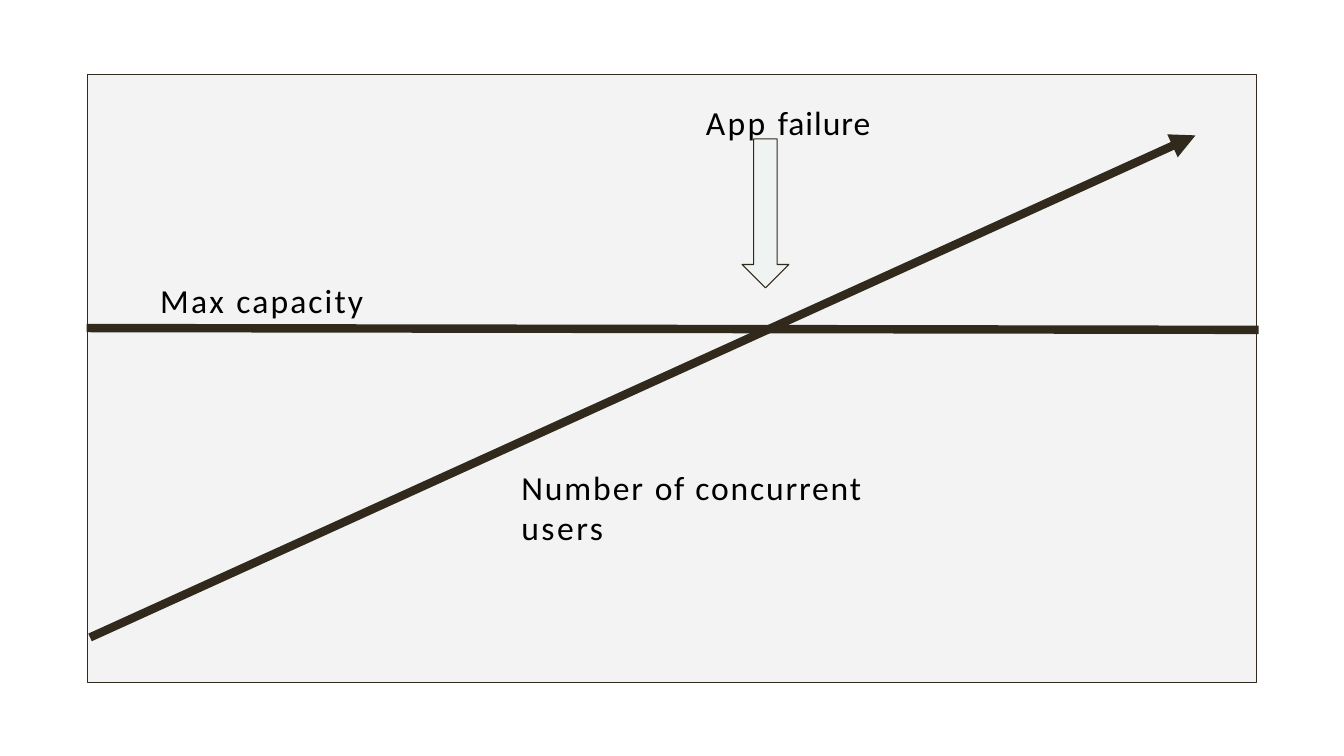
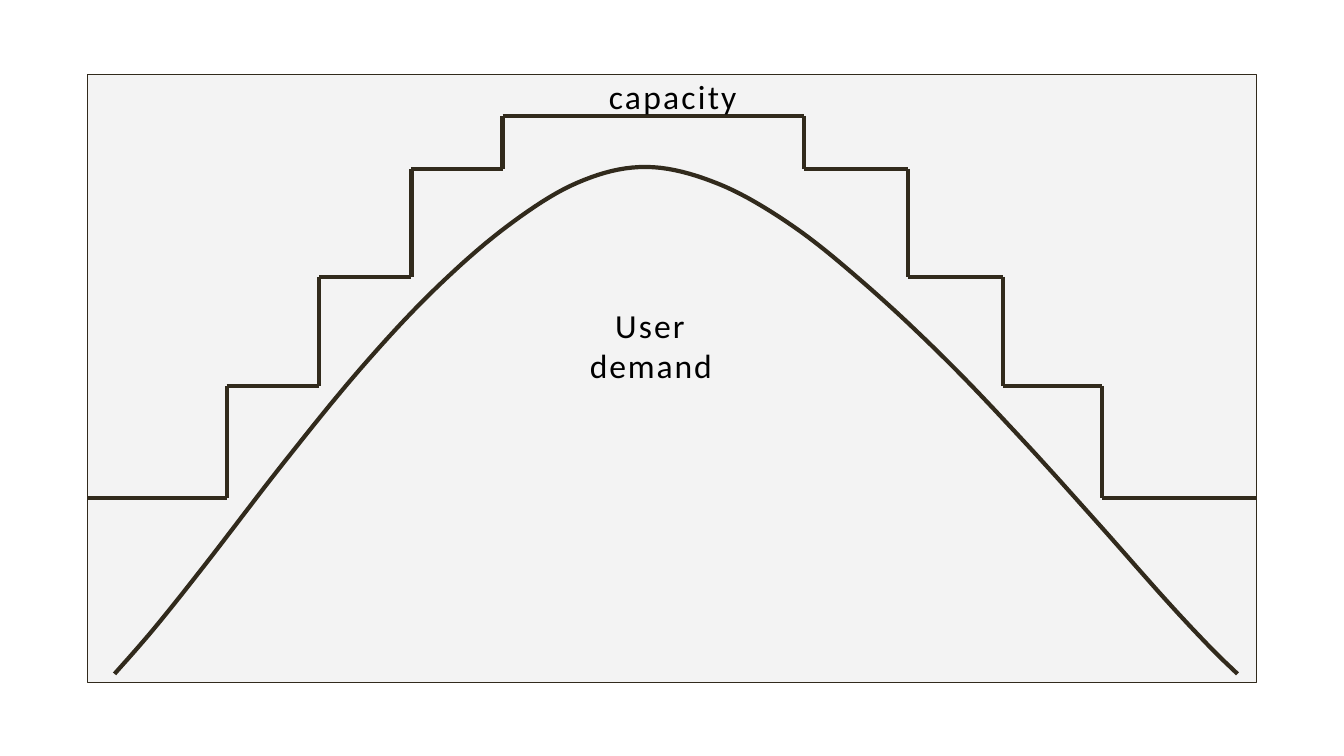
import pptx
import pptx.dml.color
import pptx.enum.dml
import pptx.enum.shapes
import pptx.enum.text
import pptx.oxml.ns
import pptx.util
from lxml import etree

THEME = {
    "ink": "312A1C", "panel": "F3F3F3", "arrow": "EFF3F1", "text": "000000",
    "font": "Calibri", "size": 24, "outline": 0.75, "curve": 3, "trend": 6,
}
SLIDE_SIZE = (13.33, 7.5)
PANEL = (0.87, 0.74, 11.59, 6.03)  # left, top, width, height in inches

# Content: every position is a percentage of the panel
# Labels: left, top, width, height, alignment, runs with letter spacing in points
FIXED_CAPACITY = {
    "lines": [((0.2, 92.6), (94.8, 10), True), ((-0.1, 41.7), (100.2, 42), False)],
    "arrow": (56, 10.6, 4, 24.5),
    "labels": [
        (6.2, 33.7, 18, 6.6, "LEFT", [("Max ", 1.7), ("capacity", 1.5)]),
        (37.1, 64.5, 29.8, 13.4, "LEFT",
         [("Number ", 1.4), ("of ", 1.2), ("concurrent ", 1.3), ("users", 1.8)]),
        (52.9, 4.5, 17, 6.6, "LEFT", [("App ", 1.7), ("failure", 0.7)]),
    ],
}
ELASTIC_CAPACITY = {
    "step_edges": [0, 11.9, 19.8, 27.7, 35.5, 61.3, 70.2, 78.3, 86.8, 100],
    "step_levels": [69.7, 51.2, 33.3, 15.5, 6.8],  # rising half, then mirrored
    "demand_knots": [
        (2.3, 98.6), (5.7, 91.1), (10.1, 80.5), (16.8, 63.8), (23.3, 48.5),
        (29.5, 35.7), (35.8, 25.1), (41.9, 17.8), (47.8, 15.2), (54, 18),
        (60.4, 25), (66.9, 35.1), (73.6, 47.2), (80.1, 60.3), (86.4, 73.7),
        (92.3, 86.5), (96.1, 94.3), (98.4, 98.6),
    ],
    "labels": [
        (42.7, 37.9, 11, 13.4, "CENTER", [("User ", 1.5), ("demand", 1.4)]),
        (44.6, 0.2, 11.6, 6.6, "LEFT", [("capacity", 1.6)]),
    ],
}


def colour(name):
    return pptx.dml.color.RGBColor.from_string(THEME[name])


def point(x, y):
    left, top, width, height = PANEL
    return (pptx.util.Inches(left + width * x / 100),
            pptx.util.Inches(top + height * y / 100))


def box(x, y, width, height):
    left, top = point(x, y)
    right, bottom = point(x + width, y + height)
    return left, top, right - left, bottom - top


def set_line(shape, weight):
    shape.line.color.rgb = colour("ink")
    shape.line.width = pptx.util.Pt(THEME[weight])


def add_block(slide, kind, position, fill):
    shape = slide.shapes.add_shape(kind, *box(*position))
    shape.shadow.inherit = False
    shape.fill.solid()
    shape.fill.fore_color.rgb = colour(fill)
    set_line(shape, "outline")


def add_line(slide, start, end, weight, arrowhead=False):
    connector = slide.shapes.add_connector(
        pptx.enum.shapes.MSO_CONNECTOR.STRAIGHT, *point(*start), *point(*end))
    set_line(connector, weight)
    if arrowhead:
        etree.SubElement(connector.line._get_or_add_ln(),
                         pptx.oxml.ns.qn("a:tailEnd"), type="triangle")
    etree.SubElement(connector._element.spPr, pptx.oxml.ns.qn("a:effectLst"))


def add_curve(slide, points):
    start, *others = [point(*position) for position in points]
    builder = slide.shapes.build_freeform(*start)
    builder.add_line_segments(others, close=False)
    shape = builder.convert_to_shape()
    shape.shadow.inherit = False
    shape.fill.background()
    set_line(shape, "curve")


def add_label(slide, left, top, width, height, alignment, runs):
    frame = slide.shapes.add_textbox(*box(left, top, width, height)).text_frame
    frame_format = {"word_wrap": True, "margin_left": 0, "margin_right": 0,
                    "margin_top": 0, "margin_bottom": 0}
    for name, value in frame_format.items():
        setattr(frame, name, value)
    paragraph = frame.paragraphs[0]
    paragraph.alignment = pptx.enum.text.PP_ALIGN[alignment]
    font_format = {"name": THEME["font"], "size": pptx.util.Pt(THEME["size"])}
    for text, spacing in runs:
        run = paragraph.add_run()
        run.text = text
        for name, value in font_format.items():
            setattr(run.font, name, value)
        run.font.color.rgb = colour("text")
        run._r.get_or_add_rPr().set("spc", str(round(spacing * 100)))


def staircase(edges, rising_levels):
    """Corner points of the treads, from left to right."""
    levels = rising_levels + rising_levels[-2::-1]
    return [(edge, level) for left, right, level in zip(edges, edges[1:], levels)
            for edge in (left, right)]


def smooth_curve(knots, steps=10):
    """Catmull-Rom spline through the knots."""
    padded = [knots[0], *knots, knots[-1]]
    points = []
    for segment in zip(padded, padded[1:], padded[2:], padded[3:]):
        for step in range(steps):
            t = step / steps
            points.append(tuple(
                (2 * b + (c - a) * t + (2 * a - 5 * b + 4 * c - d) * t ** 2
                 + (3 * b - a - 3 * c + d) * t ** 3) / 2
                for a, b, c, d in zip(*segment)))
    return points + [knots[-1]]


def start_slide(presentation):
    slide = presentation.slides.add_slide(presentation.slide_layouts[6])
    add_block(slide, pptx.enum.shapes.MSO_SHAPE.RECTANGLE, (0, 0, 100, 100), "panel")
    return slide


def main():
    presentation = pptx.Presentation()
    presentation.slide_width, presentation.slide_height = map(
        pptx.util.Inches, SLIDE_SIZE)

    # Slide 1: demand outgrows a fixed capacity
    slide = start_slide(presentation)
    for start, end, arrowhead in FIXED_CAPACITY["lines"]:
        add_line(slide, start, end, "trend", arrowhead)
    add_block(slide, pptx.enum.shapes.MSO_SHAPE.DOWN_ARROW,
              FIXED_CAPACITY["arrow"], "arrow")
    for label in FIXED_CAPACITY["labels"]:
        add_label(slide, *label)

    # Slide 2: capacity steps follow demand
    slide = start_slide(presentation)
    add_curve(slide, smooth_curve(ELASTIC_CAPACITY["demand_knots"]))
    corners = staircase(ELASTIC_CAPACITY["step_edges"],
                        ELASTIC_CAPACITY["step_levels"])
    for start, end in zip(corners, corners[1:]):
        add_line(slide, start, end, "curve")
    for label in ELASTIC_CAPACITY["labels"]:
        add_label(slide, *label)

    presentation.save("out.pptx")


if __name__ == "__main__":
    main()
